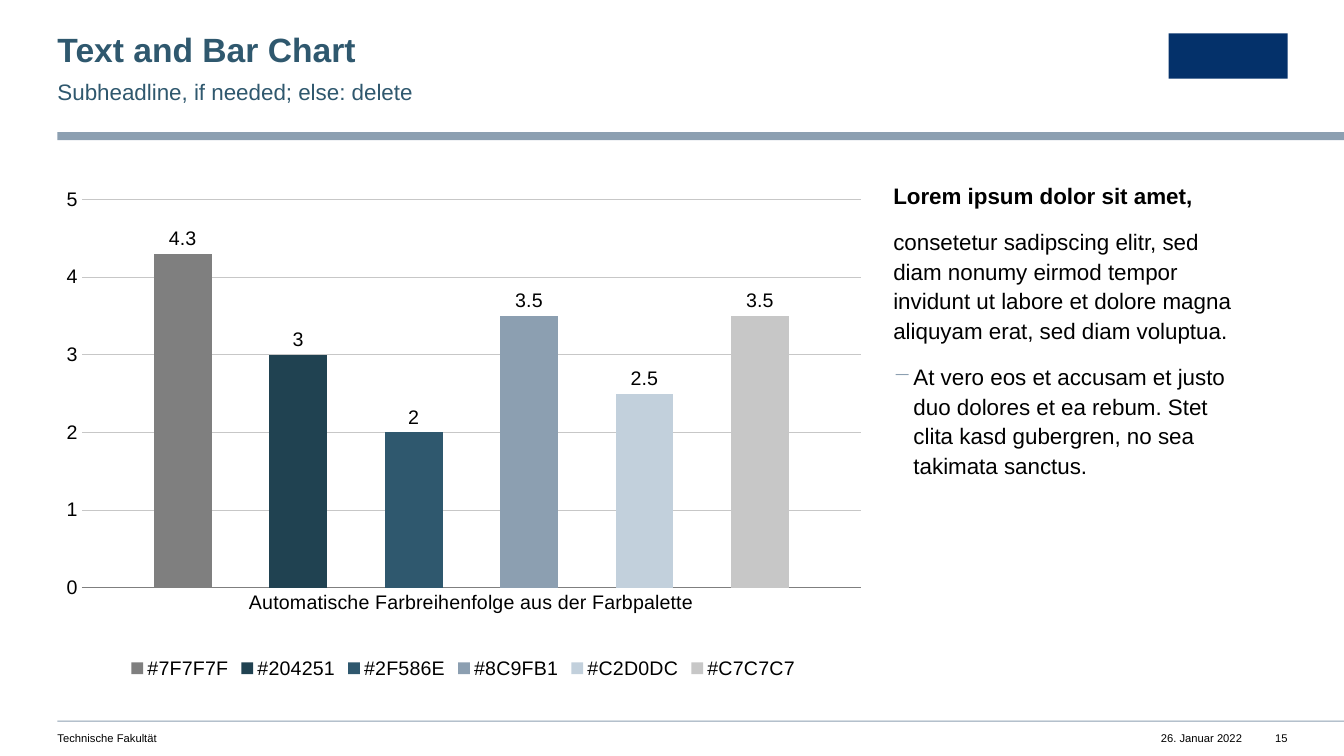
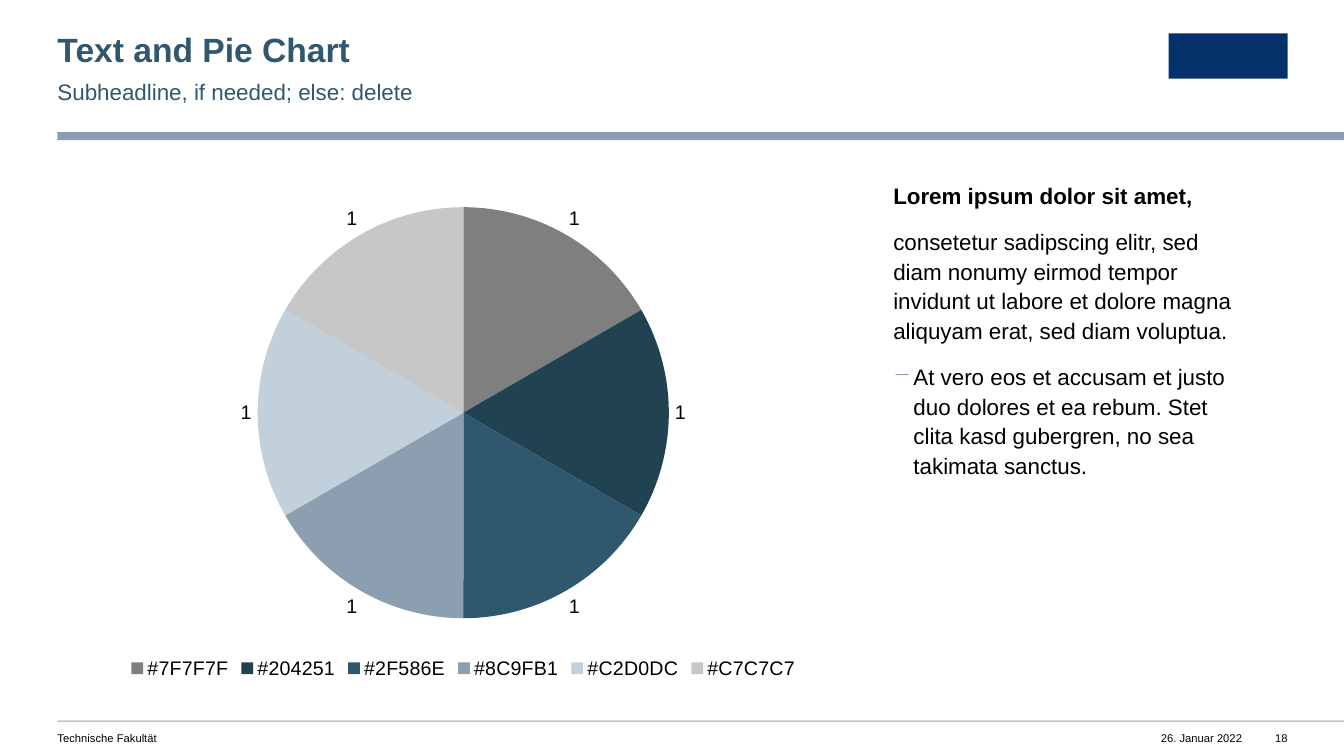
from pptx import Presentation
from pptx.chart.data import CategoryChartData
from pptx.dml.color import RGBColor
from pptx.enum.chart import XL_CHART_TYPE as ChartType
from pptx.enum.chart import XL_LABEL_POSITION as LabelPosition
from pptx.enum.chart import XL_LEGEND_POSITION as LegendPosition
from pptx.enum.chart import XL_TICK_MARK as TickMark
from pptx.enum.shapes import MSO_SHAPE as Shape
from pptx.enum.text import PP_ALIGN as Align
from pptx.oxml import parse_xml
from pptx.oxml.ns import nsdecls, qn
from pptx.util import Inches, Pt

BLACK = RGBColor(0x00, 0x00, 0x00)
GREY = RGBColor(0x7F, 0x7F, 0x7F)
PETROL = RGBColor(0x20, 0x42, 0x51)
BLUE = RGBColor(0x2F, 0x58, 0x6E)
STEEL = RGBColor(0x8C, 0x9F, 0xB1)
MIST = RGBColor(0xC2, 0xD0, 0xDC)
SILVER = RGBColor(0xC7, 0xC7, 0xC7)
NAVY = RGBColor(0x04, 0x31, 0x6A)
PALETTE = [GREY, PETROL, BLUE, STEEL, MIST, SILVER]
COLOR_NAMES = [f"#{color}" for color in PALETTE]

FONT = "Arial"
MARGIN = 0.57
CHART_BOX = [Inches(length) for length in (MARGIN, 1.78, 8.05, 5)]
FRAME_SHAPES = [
    (MARGIN, 1.31, 12.77, 0.08, STEEL),
    (MARGIN, 7.15, 12.77, 0.01, STEEL),
    (11.59, 0.33, 1.18, 0.45, NAVY),
]
BODY = [
    "Lorem ipsum dolor sit amet,",
    "consetetur sadipscing elitr, sed diam nonumy eirmod tempor invidunt ut "
    "labore et dolore magna aliquyam erat, sed diam voluptua.",
    "At vero eos et accusam et justo duo dolores et ea rebum. Stet clita kasd "
    "gubergren, no sea takimata sanctus.",
]


def add_text(slide, lines, left, top, width, height, size=8, color=BLACK, bold=False,
             align=Align.LEFT, spacing=1.0, after=0, right_inset=0):
    box = slide.shapes.add_textbox(Inches(left), Inches(top), Inches(width), Inches(height))
    frame = box.text_frame
    frame.word_wrap = True
    frame.margin_left = frame.margin_top = frame.margin_bottom = 0
    frame.margin_right = Inches(right_inset)
    frame.text = "\n".join(lines)
    for paragraph in frame.paragraphs:
        paragraph.alignment = align
        paragraph.line_spacing = spacing
        paragraph.space_after = Pt(after)
        font = paragraph.runs[0].font
        font.name, font.size, font.bold = FONT, Pt(size), bold
        font.color.rgb = color
    return frame


def add_chart(slide, chart_type, categories, series):
    data = CategoryChartData()
    data.categories = categories
    for name, values in series:
        data.add_series(name, values)
    chart = slide.shapes.add_chart(chart_type, *CHART_BOX, data).chart
    chart.has_title = False
    chart.font.name, chart.font.size = FONT, Pt(14)
    chart.font.color.rgb = BLACK
    chart.has_legend = True
    chart.legend.position = LegendPosition.BOTTOM
    chart.legend.include_in_layout = False
    plot = chart.plots[0]
    plot.has_data_labels = True
    plot.data_labels.show_value = True
    plot.data_labels.position = LabelPosition.OUTSIDE_END
    return chart


presentation = Presentation()
presentation.slide_width = Inches(13.33)
presentation.slide_height = Inches(7.5)

slides = []
for title, number in [("Text and Bar Chart", "15"), ("Text and Pie Chart", "18")]:
    slide = presentation.slides.add_slide(presentation.slide_layouts[6])
    slides.append(slide)
    for left, top, width, height, color in FRAME_SHAPES:
        shape = slide.shapes.add_shape(
            Shape.RECTANGLE, Inches(left), Inches(top), Inches(width), Inches(height))
        shape.shadow.inherit = False
        shape.fill.solid()
        shape.fill.fore_color.rgb = color
        shape.line.fill.background()

    add_text(slide, [title], MARGIN, 0.33, 7.49, 0.36,
             size=24, color=BLUE, bold=True, spacing=0.9)
    add_text(slide, ["Subheadline, if needed; else: delete"], MARGIN, 0.75, 7.49, 0.27,
             size=16, color=BLUE, spacing=1.1)
    add_text(slide, ["Technische Fakultät"], MARGIN, 7.26, 5.98, 0.13)
    add_text(slide, ["26. Januar 2022"], 11.39, 7.26, 0.93, 0.13, align=Align.RIGHT)
    add_text(slide, [number], 12.56, 7.26, 0.21, 0.13, align=Align.RIGHT)

    body = add_text(slide, BODY, 8.86, 1.78, 3.91, 5,
                    size=16, spacing=1.1, after=12, right_inset=0.39)
    heading, _, bullet = body.paragraphs
    heading.runs[0].font.bold = True
    properties = bullet._p.get_or_add_pPr()
    properties.set("marL", str(Inches(0.2)))
    properties.set("indent", str(Inches(-0.2)))
    properties.append(parse_xml(
        f'<a:buClr {nsdecls("a")}><a:srgbClr val="{STEEL}"/></a:buClr>'))
    properties.append(parse_xml(f'<a:buChar {nsdecls("a")} char="−"/>'))

bar_slide, pie_slide = slides

bar_values = [4.3, 3, 2, 3.5, 2.5, 3.5]
bar_chart = add_chart(
    bar_slide, ChartType.COLUMN_CLUSTERED,
    ["Automatische Farbreihenfolge aus der Farbpalette"],
    [(name, [value]) for name, value in zip(COLOR_NAMES, bar_values)])
bar_plot = bar_chart.plots[0]
bar_plot.vary_by_categories = False
bar_plot.gap_width = 250
bar_plot.overlap = -100
for series, color in zip(bar_plot.series, PALETTE):
    series.invert_if_negative = False
    series.format.fill.solid()
    series.format.fill.fore_color.rgb = color

category_axis, value_axis = bar_chart.category_axis, bar_chart.value_axis
for axis in (category_axis, value_axis):
    axis.major_tick_mark = axis.minor_tick_mark = TickMark.NONE
category_axis.format.line.color.rgb = GREY
category_axis.format.line.width = Pt(0.5)
value_axis.format.line.fill.background()
value_axis.minimum_scale, value_axis.maximum_scale, value_axis.major_unit = 0, 5, 1
value_axis.major_gridlines.format.line.color.rgb = SILVER
value_axis.major_gridlines.format.line.width = Pt(0.5)

plot_area = bar_chart._chartSpace.chart.plotArea
for layout in plot_area.findall(qn("c:layout")):
    plot_area.remove(layout)
plot_area.insert(0, parse_xml(
    f'<c:layout {nsdecls("c")}><c:manualLayout><c:layoutTarget val="inner"/>'
    '<c:xMode val="edge"/><c:yMode val="edge"/><c:x val="0.03"/><c:y val="0.04"/>'
    '<c:w val="0.96"/><c:h val="0.77"/></c:manualLayout></c:layout>'))

pie_chart = add_chart(pie_slide, ChartType.PIE, COLOR_NAMES, [("Series 1", [1] * len(PALETTE))])
for index, color in enumerate(PALETTE):
    fill = pie_chart.plots[0].series[0].points[index].format.fill
    fill.solid()
    fill.fore_color.rgb = color

presentation.save("out.pptx")
